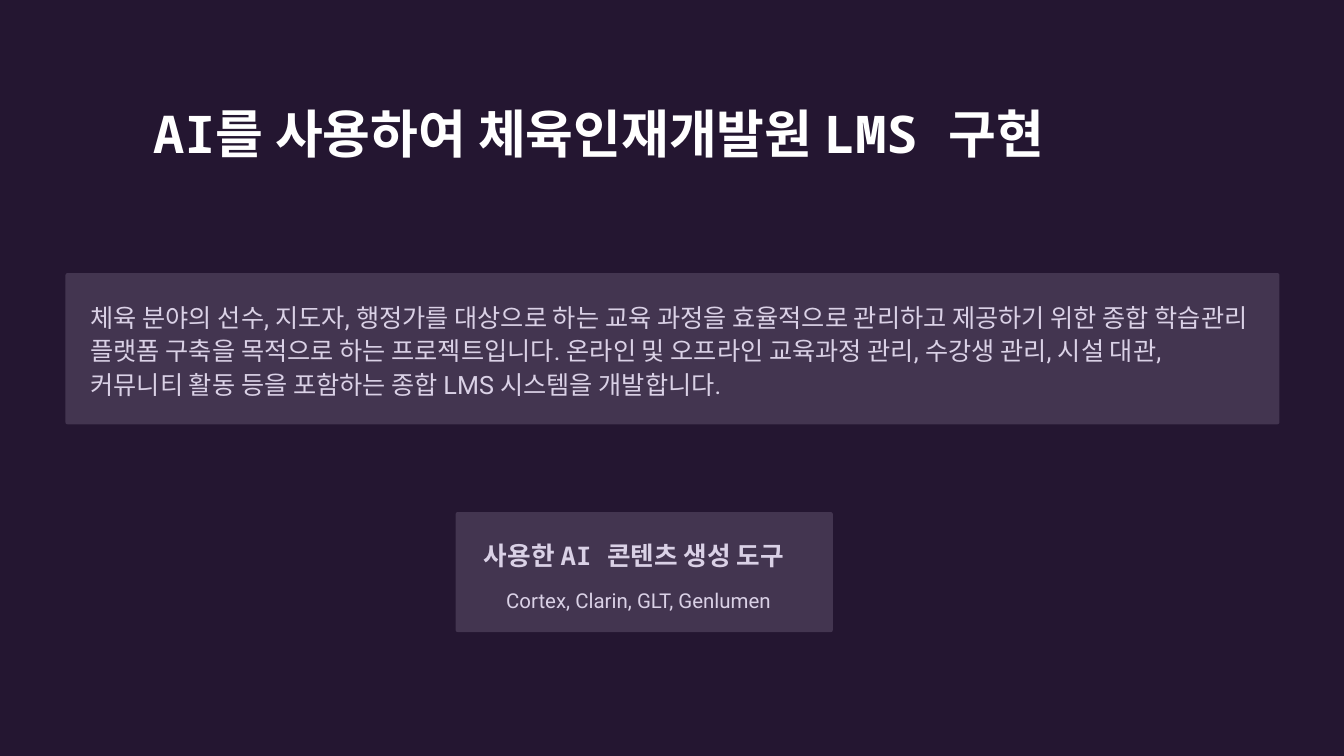
from pptx import Presentation
from pptx.dml.color import RGBColor
from pptx.enum.shapes import MSO_SHAPE as Shape
from pptx.enum.text import MSO_AUTO_SIZE as AutoSize
from pptx.util import Inches, Pt

BACKGROUND = RGBColor(0x24, 0x16, 0x31)
PANEL = RGBColor(0x43, 0x35, 0x50)
WHITE = RGBColor(0xFF, 0xFF, 0xFF)
LILAC = RGBColor(0xDA, 0xD1, 0xE6)
HEADING_FONT, BODY_FONT = "Noto Sans Mono", "Roboto"

TITLE = "AI를 사용하여 체육인재개발원 LMS 구현"
SUMMARY = (
    "체육 분야의 선수, 지도자, 행정가를 대상으로 하는 교육 과정을 효율적으로 관리하고 "
    "제공하기 위한 종합 학습관리 플랫폼 구축을 목적으로 하는 프로젝트입니다. "
    "온라인 및 오프라인 교육과정 관리, 수강생 관리, 시설 대관, 커뮤니티 활동 등을 "
    "포함하는 종합 LMS 시스템을 개발합니다."
)
TOOLS_HEADING = "사용한 AI 콘텐츠 생성 도구"
TOOLS = "Cortex, Clarin, GLT, Genlumen"

CORNER_RADIUS = 0.02
# left, top, width, height in inches
PANELS = [(0.65, 2.71, 12.04, 1.5), (4.52, 5.08, 3.74, 1.19)]
# text, box, font, size, line spacing, colour, bold, wrap
HEADINGS = [
    (TITLE, (1.52, 0.98, 9.76, 1.29), HEADING_FONT, 37.1, 46.2, WHITE, True, True),
    (TOOLS_HEADING, (4.8, 5.34, 3.4, 0.32), HEADING_FONT, 18.3, 22.9, LILAC, True, False),
    (TOOLS, (5.02, 5.75, 3.2, 0.33), BODY_FONT, 14.6, 23.8, LILAC, False, False),
]
SUMMARY_BOX = (0.8, 2.92, 11.68, 1.09)


def add_panel(slide, box):
    panel = slide.shapes.add_shape(Shape.ROUNDED_RECTANGLE, *map(Inches, box))
    panel.adjustments[0] = CORNER_RADIUS / min(box[2:])
    panel.fill.solid()
    panel.fill.fore_color.rgb = PANEL
    panel.line.fill.background()
    panel.shadow.inherit = False


def add_text(slide, text, box, font, size, spacing, color, bold, wrap):
    frame = slide.shapes.add_textbox(*map(Inches, box)).text_frame
    frame.word_wrap = wrap
    paragraph = frame.paragraphs[0]
    paragraph.line_spacing = Pt(spacing)
    run = paragraph.add_run()
    run.text = text
    run.font.name = font
    run.font.size = Pt(size)
    run.font.bold = bold
    run.font.color.rgb = color
    return frame


def main():
    presentation = Presentation()
    presentation.slide_width = Inches(13.33)
    presentation.slide_height = Inches(7.5)
    slide = presentation.slides.add_slide(presentation.slide_layouts[6])
    slide.background.fill.solid()
    slide.background.fill.fore_color.rgb = BACKGROUND

    for box in PANELS:
        add_panel(slide, box)
    for heading in HEADINGS:
        frame = add_text(slide, *heading)
        frame.margin_left = frame.margin_right = 0
        frame.margin_top = frame.margin_bottom = 0
    summary = add_text(slide, SUMMARY, SUMMARY_BOX, BODY_FONT, 18, 23.8, LILAC, False, True)
    summary.auto_size = AutoSize.SHAPE_TO_FIT_TEXT

    presentation.save("out.pptx")


if __name__ == "__main__":
    main()
